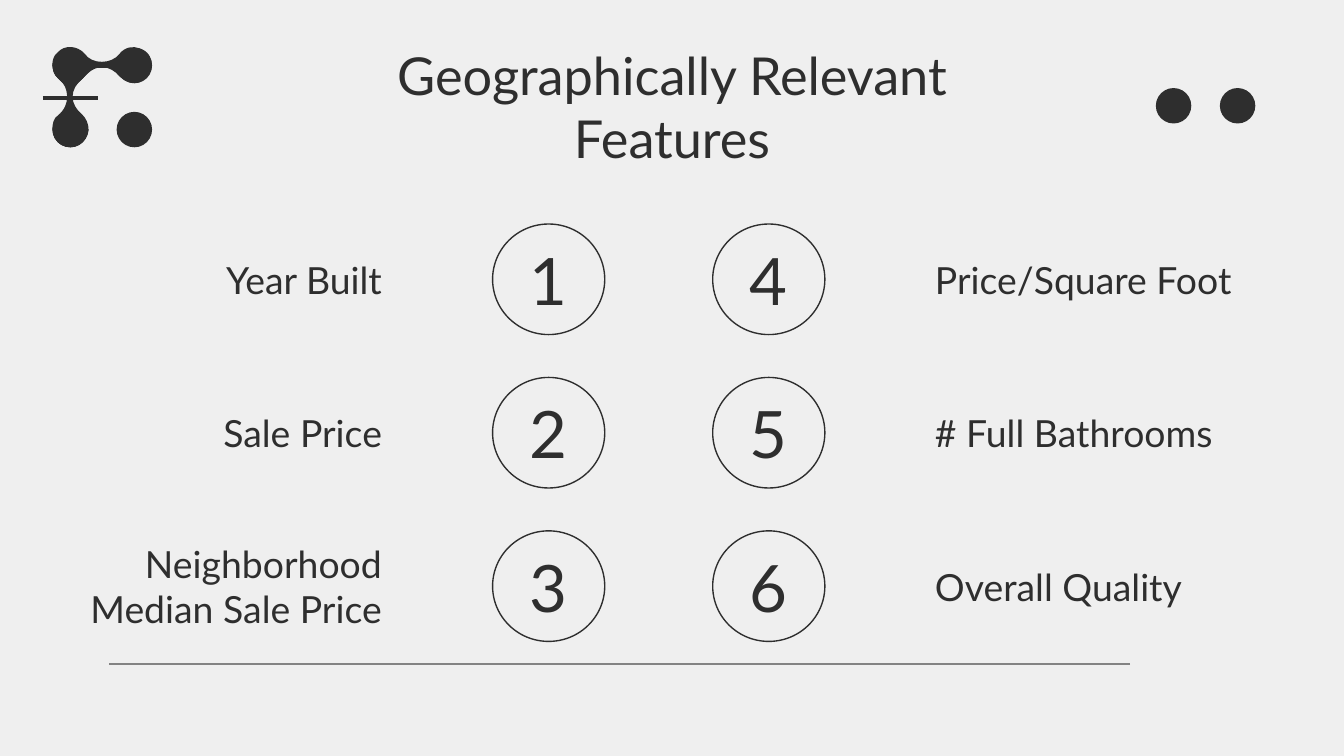
from dataclasses import dataclass

from lxml import etree
from pptx import Presentation
from pptx.dml.color import RGBColor
from pptx.enum.shapes import MSO_CONNECTOR, MSO_SHAPE
from pptx.enum.text import MSO_ANCHOR, PP_ALIGN
from pptx.oxml.ns import qn
from pptx.shapes.autoshape import Shape
from pptx.slide import Slide
from pptx.util import Cm, Pt

STRAIGHT = MSO_CONNECTOR.STRAIGHT
OVAL, TEARDROP = MSO_SHAPE.OVAL, MSO_SHAPE.TEAR
LEFT, CENTER, RIGHT = PP_ALIGN.LEFT, PP_ALIGN.CENTER, PP_ALIGN.RIGHT
MIDDLE = MSO_ANCHOR.MIDDLE


@dataclass(frozen=True)
class Theme:
    background: RGBColor = RGBColor(0xEF, 0xEF, 0xEF)
    ink: RGBColor = RGBColor(0x2E, 0x2E, 0x2E)
    rule: RGBColor = RGBColor(0x83, 0x83, 0x83)
    font: str = "Lato"
    title_size: int = 28
    number_size: int = 35
    label_size: int = 20
    thin: float = 0.75
    thick: float = 2.25


@dataclass(frozen=True)
class Label:
    text: str
    left: float
    width: float


@dataclass(frozen=True)
class Column:
    circle_left: float
    first_number: int
    alignment: PP_ALIGN
    labels: tuple[Label, ...]


THEME = Theme()

# Feature columns, lengths in centimetres
COLUMNS = (
    Column(9.31, 1, RIGHT, (
        Label("Year Built", 1.3, 6.17),
        Label("Sale Price", 1.3, 6.17),
        Label("Neighborhood Median Sale Price", 0, 7.47),
    )),
    Column(13.47, 4, LEFT, (
        Label("Price/Square Foot", 17.42, 7.98),
        Label("# Full Bathrooms", 17.42, 7.98),
        Label("Overall Quality", 17.42, 6.4),
    )),
)
CIRCLE_WIDTH, CIRCLE_HEIGHT = 2.12, 2.09
NUMBER_WIDTH, NUMBER_HEIGHT = 2.51, 1.7
LABEL_HEIGHT = 0.94
FIRST_ROW_MIDDLE, ROW_STEP = 5.28, 2.9

# Ornament: dots on a square grid, joined by a curved band
DOT_SIZE = 0.67
DOT_LEFT, DOT_TOP, DOT_STEP = 1.33, 1.24, 1.21
BAND_UNIT = Cm(0.0254)
BAND_START = (113, 48)
BAND_CURVES = (
    (113, 43, 110, 38, 104, 36), (99, 34, 93, 35, 89, 40),
    (86, 44, 81, 46, 76, 46), (70, 46, 66, 44, 63, 40),
    (58, 34, 48, 33, 43, 39), (40, 41, 39, 45, 39, 48),
    (39, 52, 40, 56, 44, 59), (48, 62, 50, 67, 50, 72),
    (50, 77, 48, 82, 43, 86), (40, 88, 39, 92, 39, 96),
    (39, 101, 41, 105, 46, 108), (55, 112, 65, 106, 66, 97),
    (66, 92, 64, 88, 61, 85), (57, 82, 54, 77, 54, 72),
    (54, 67, 57, 62, 61, 59), (66, 53, 71, 50, 76, 50),
    (81, 50, 86, 53, 89, 57), (93, 61, 99, 63, 104, 61),
    (109, 59, 113, 54, 113, 48),
)


def fill_with_ink(shape: Shape) -> None:
    shape.shadow.inherit = False
    shape.fill.solid()
    shape.fill.fore_color.rgb = THEME.ink
    shape.line.fill.background()


def add_dot(slide: Slide, center_x: float, center_y: float, kind: MSO_SHAPE = OVAL) -> Shape:
    shape = slide.shapes.add_shape(
        kind, Cm(center_x - DOT_SIZE / 2), Cm(center_y - DOT_SIZE / 2), Cm(DOT_SIZE), Cm(DOT_SIZE))
    fill_with_ink(shape)
    return shape


def add_line(slide: Slide, start: tuple[float, float], end: tuple[float, float],
             color: RGBColor, weight: float) -> None:
    line = slide.shapes.add_connector(STRAIGHT, *map(Cm, start + end))
    line.line.color.rgb = color
    line.line.width = Pt(weight)
    etree.SubElement(line._element.spPr, qn("a:effectLst"))


def add_text(slide: Slide, text: str, left: float, middle: float, width: float, height: float,
             size: int, alignment: PP_ALIGN) -> None:
    box = slide.shapes.add_textbox(Cm(left), Cm(middle - height / 2), Cm(width), Cm(height))
    frame = box.text_frame
    frame.word_wrap = True
    frame.vertical_anchor = MIDDLE
    frame.margin_left = frame.margin_right = Cm(0.25)
    frame.margin_top = frame.margin_bottom = Cm(0.25)
    frame.text = text
    paragraph = frame.paragraphs[0]
    paragraph.alignment = alignment
    font = paragraph.runs[0].font
    font.name, font.size = THEME.font, Pt(size)
    font.color.rgb = THEME.ink


def add_band(slide: Slide) -> None:
    ends = [curve[-2:] for curve in BAND_CURVES]
    builder = slide.shapes.build_freeform(*BAND_START, scale=BAND_UNIT)
    builder.add_line_segments(ends, close=True)
    band = builder.convert_to_shape()
    fill_with_ink(band)

    # Bend each straight segment into its cubic curve
    left, top = min(x for x, _ in ends), min(y for _, y in ends)
    segments = list(band._element.iter(qn("a:lnTo")))
    for segment, curve in zip(segments, BAND_CURVES):
        bend = etree.Element(qn("a:cubicBezTo"))
        for x, y in zip(curve[::2], curve[1::2]):
            etree.SubElement(bend, qn("a:pt"), x=str(x - left), y=str(y - top))
        segment.getparent().replace(segment, bend)


def add_ornament(slide: Slide) -> None:
    right, bottom = DOT_LEFT + DOT_STEP, DOT_TOP + DOT_STEP
    for center_x in (DOT_LEFT, right):
        for center_y in (DOT_TOP, bottom):
            add_dot(slide, center_x, center_y)
    # The point of an unturned teardrop is at its top right
    for center_y, rotation in ((DOT_TOP, 135), (DOT_TOP, 45), (bottom, 315)):
        add_dot(slide, DOT_LEFT, center_y, TEARDROP).rotation = rotation
    add_line(slide, (0.81, 1.85), (1.85, 1.85), THEME.ink, THEME.thick)
    add_line(slide, (right, DOT_TOP), (DOT_LEFT, DOT_TOP), THEME.ink, THEME.thick)
    add_band(slide)


def add_column(slide: Slide, column: Column) -> None:
    for row, label in enumerate(column.labels):
        middle = FIRST_ROW_MIDDLE + row * ROW_STEP
        circle = slide.shapes.add_shape(
            OVAL, Cm(column.circle_left), Cm(middle - CIRCLE_HEIGHT / 2),
            Cm(CIRCLE_WIDTH), Cm(CIRCLE_HEIGHT))
        circle.shadow.inherit = False
        circle.fill.background()
        circle.line.color.rgb = THEME.ink
        circle.line.width = Pt(THEME.thin)
        number_left = column.circle_left + (CIRCLE_WIDTH - NUMBER_WIDTH) / 2
        add_text(slide, str(column.first_number + row), number_left, middle,
                 NUMBER_WIDTH, NUMBER_HEIGHT, THEME.number_size, CENTER)
        add_text(slide, label.text, label.left, middle, label.width, LABEL_HEIGHT,
                 THEME.label_size, column.alignment)


def main() -> None:
    presentation = Presentation()
    presentation.slide_width, presentation.slide_height = Cm(25.4), Cm(14.29)
    slide = presentation.slides.add_slide(presentation.slide_layouts[6])
    slide.background.fill.solid()
    slide.background.fill.fore_color.rgb = THEME.background

    # Decoration
    add_line(slide, (21.36, 12.55), (2.06, 12.55), THEME.rule, THEME.thin)
    add_ornament(slide)
    for center_x in (22.18, 23.39):
        add_dot(slide, center_x, 2)

    # Title and numbered features
    add_text(slide, "Geographically Relevant Features", 6.31, 2.01, 12.78, 1.07,
             THEME.title_size, CENTER)
    for column in COLUMNS:
        add_column(slide, column)

    presentation.save("out.pptx")


if __name__ == "__main__":
    main()
